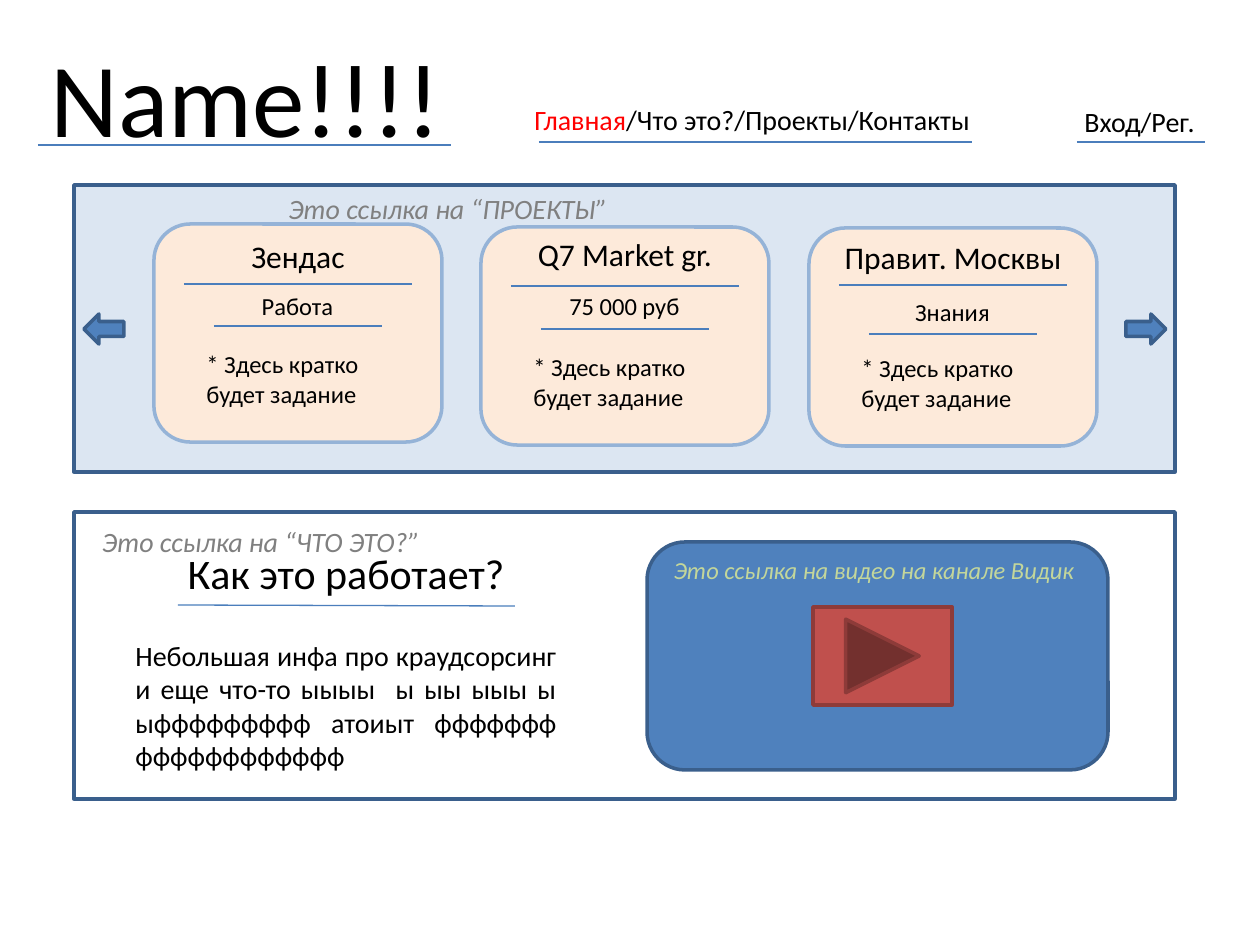
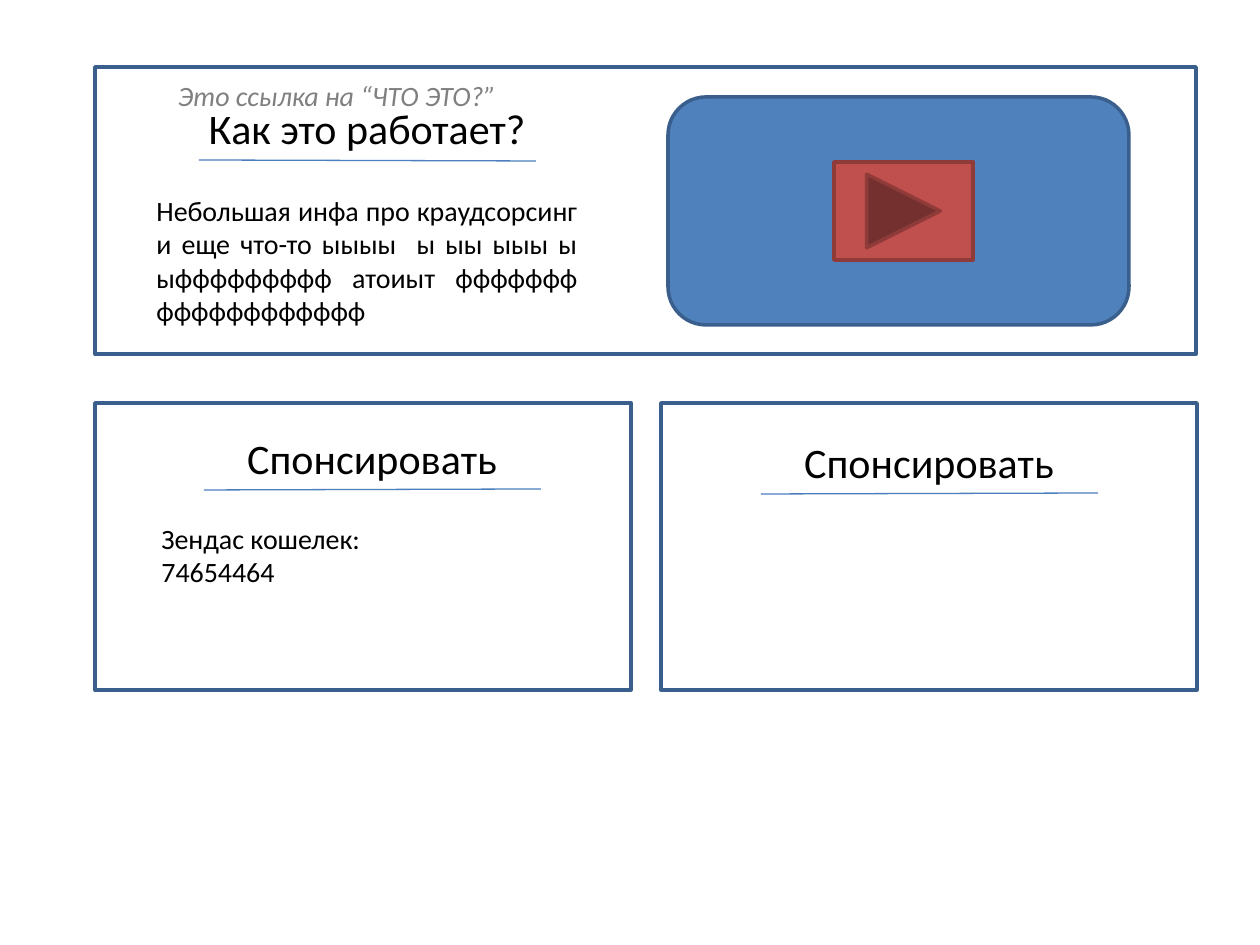
from dataclasses import dataclass

from lxml.etree import SubElement
from pptx import Presentation
from pptx.dml.color import RGBColor
from pptx.enum.shapes import MSO_CONNECTOR, MSO_SHAPE
from pptx.enum.text import MSO_AUTO_SIZE, PP_ALIGN
from pptx.oxml.ns import qn
from pptx.slide import Slide
from pptx.util import Emu, Pt

EMU_PER_PX = 914400 / 126
FONT = "Calibri"

BLACK = RGBColor(0x00, 0x00, 0x00)
WHITE = RGBColor(0xFF, 0xFF, 0xFF)
RED = RGBColor(0xFF, 0x00, 0x00)
GREY = RGBColor(0x80, 0x80, 0x80)
BLUE = RGBColor(0x4F, 0x81, 0xBD)
DARK_BLUE = RGBColor(0x3A, 0x5F, 0x8C)
RULE_BLUE = RGBColor(0x4B, 0x7E, 0xBC)
PALE_BLUE = RGBColor(0xDC, 0xE6, 0xF2)
CARD_BLUE = RGBColor(0x95, 0xB3, 0xD7)
PEACH = RGBColor(0xFD, 0xEA, 0xDA)
BUTTON_RED = RGBColor(0xC0, 0x50, 0x4D)
BUTTON_EDGE = RGBColor(0x8E, 0x3B, 0x39)
PALE_GREEN = RGBColor(0xC3, 0xD6, 0x9B)

PANEL_W, PANEL_H = 1101, 287
HALF_PANEL_W = 536
COLUMN_W = 446
CARD_W, CARD_H = 288, 218
CARD_LEFTS = (154, 481, 809)

ABOUT_TITLE = "Как это работает?"
ABOUT_BODY = ("Небольшая инфа про краудсорсинг и еще что-то ыыыы  ы ыы ыыы ы "
              "ыффффффффф атоиыт ффффффф фффффффффффф")
ABOUT_LINK = "Это ссылка на “ЧТО ЭТО?”"
TASK = "* Здесь кратко будет задание"


@dataclass(frozen=True)
class Run:
    """A piece of text with one colour."""
    text: str
    color: RGBColor = BLACK


@dataclass(frozen=True)
class Card:
    """A project card: its wording and the heights of its parts."""
    name: str
    reward: str
    top: int
    name_y: int
    name_rule_y: int
    reward_y: int
    reward_rule_y: int
    name_w: int = 208


@dataclass(frozen=True)
class Sponsor:
    """A sponsoring panel and the place of its heading."""
    left: int
    title_x: int
    title_y: int


CARDS = (
    Card("Зендас", "Работа", 224, 231, 284, 285, 326),
    Card("Q7 Market gr.", "75 000 руб", 227, 229, 286, 285, 329),
    Card("Правит. Москвы", "Знания", 228, 232, 285, 291, 334, 248),
)
SPONSORS = (Sponsor(95, 149, 426), Sponsor(661, 706, 430))


def px(n: float) -> Emu:
    """Turn pixels into EMU."""
    return Emu(round(n * EMU_PER_PX))


def add_box(s: Slide, kind: MSO_SHAPE, x: int, y: int, w: int, h: int,
            fill: RGBColor, line: RGBColor = DARK_BLUE) -> None:
    """Draw a filled and outlined preset shape."""
    sp = s.shapes.add_shape(kind, px(x), px(y), px(w), px(h))
    sp.shadow.inherit = False
    sp.fill.solid()
    sp.fill.fore_color.rgb = fill
    sp.line.color.rgb = line
    sp.line.width = Pt(2)


def add_rule(s: Slide, x1: int, y1: int, x2: int, y2: int) -> None:
    """Draw a thin line without a shadow."""
    cn = s.shapes.add_connector(MSO_CONNECTOR.STRAIGHT,
                                px(x1), px(y1), px(x2), px(y2))
    cn.line.color.rgb = RULE_BLUE
    cn.line.width = Pt(0.75)
    SubElement(cn._element.spPr, qn("a:effectLst"))


def add_text(s: Slide, x: int, y: int, w: int, h: int,
             paragraphs: list[list[Run]], size: int,
             align: PP_ALIGN = PP_ALIGN.LEFT, italic: bool = False,
             wrap: bool = True) -> None:
    """Write paragraphs, each a list of runs, in one text box."""
    tf = s.shapes.add_textbox(px(x), px(y), px(w), px(h)).text_frame
    tf.word_wrap = wrap
    tf.auto_size = MSO_AUTO_SIZE.SHAPE_TO_FIT_TEXT
    for i, runs in enumerate(paragraphs):
        p = tf.add_paragraph() if i else tf.paragraphs[0]
        p.alignment = align
        for run in runs:
            r = p.add_run()
            r.text = run.text
            r.font.name = FONT
            r.font.size = Pt(size)
            r.font.italic = italic
            r.font.color.rgb = run.color


def add_link_note(s: Slide, x: int, y: int, text: str,
                  color: RGBColor = GREY, size: int = 16) -> None:
    """Write a centred italic remark about a link."""
    add_text(s, x, y, COLUMN_W, 47, [[Run(text, color)]], size,
             PP_ALIGN.CENTER, italic=True)


def add_heading(s: Slide, x: int, y: int, text: str, tilt: int) -> None:
    """Write a centred heading over a slightly tilted rule."""
    add_rule(s, x + 55, y + 64, x + 392, y + 64 + tilt)
    add_text(s, x, y, COLUMN_W, 63, [[Run(text)]], 24, PP_ALIGN.CENTER)


def add_about_panel(s: Slide, x: int, y: int) -> None:
    """Draw the panel with the explanation and the video."""
    add_box(s, MSO_SHAPE.RECTANGLE, x, y, PANEL_W, PANEL_H, WHITE)
    add_heading(s, x + 49, y + 29, ABOUT_TITLE, 1)
    add_box(s, MSO_SHAPE.ROUNDED_RECTANGLE, x + 573, y + 30, 461, 228, BLUE)
    add_box(s, MSO_SHAPE.ACTION_BUTTON_FORWARD_OR_NEXT, x + 739, y + 95,
            139, 98, BUTTON_RED, BUTTON_EDGE)
    add_text(s, x + 49, y + 120, COLUMN_W, 149, [[Run(ABOUT_BODY)]], 16,
             PP_ALIGN.JUSTIFY)


def add_card(s: Slide, x: int, card: Card) -> None:
    """Draw one project card."""
    add_box(s, MSO_SHAPE.ROUNDED_RECTANGLE, x, card.top, CARD_W, CARD_H,
            PEACH, CARD_BLUE)
    lines = ((card.name, 18, card.name_w, card.name_y, card.name_rule_y, 228),
             (card.reward, 14, 149, card.reward_y, card.reward_rule_y, 168))
    for text, size, w, y, rule_y, rule_w in lines:
        rule_x = x + (CARD_W - rule_w) // 2
        add_rule(s, rule_x, rule_y, rule_x + rule_w, rule_y)
        add_text(s, x + (CARD_W - w) // 2, y, w, rule_y - y, [[Run(text)]],
                 size, PP_ALIGN.CENTER)
    add_text(s, x + 40, card.top + 119, 208, 72, [[Run(TASK)]], 14)


def add_header(s: Slide) -> None:
    """Write the site name, the menu and the sign-in link."""
    add_text(s, 38, 26, 496, 140, [[Run("Name!!!!")]], 60)
    add_text(s, 522, 96, 466, 47,
             [[Run("Главная", RED), Run("/Что это?/Проекты/Контакты")]], 16,
             wrap=False)
    add_text(s, 1072, 98, 158, 47, [[Run("Вход/Рег.")]], 16)
    for x1, x2, y in ((38, 451, 145), (539, 972, 142), (1077, 1205, 142)):
        add_rule(s, x1, y, x2, y)


def build_home(s: Slide) -> None:
    """Build the home page with the projects and the explanation."""
    add_box(s, MSO_SHAPE.RECTANGLE, 74, 185, PANEL_W, PANEL_H, PALE_BLUE)
    add_header(s)
    add_box(s, MSO_SHAPE.LEFT_ARROW, 84, 314, 40, 30, BLUE)
    add_box(s, MSO_SHAPE.RIGHT_ARROW, 1126, 314, 40, 30, BLUE)
    for x, card in zip(CARD_LEFTS, CARDS):
        add_card(s, x, card)
    add_link_note(s, 225, 185, "Это ссылка на “ПРОЕКТЫ”")
    add_about_panel(s, 74, 512)
    add_link_note(s, 38, 518, ABOUT_LINK)
    add_link_note(s, 651, 549, "Это ссылка на видео на канале Видик",
                  PALE_GREEN, 14)


def build_sponsoring(s: Slide) -> None:
    """Build the page with the explanation and the sponsoring panels."""
    add_about_panel(s, 95, 67)
    add_link_note(s, 114, 72, ABOUT_LINK)
    for sponsor in SPONSORS:
        add_box(s, MSO_SHAPE.RECTANGLE, sponsor.left, 403, HALF_PANEL_W,
                PANEL_H, WHITE)
        add_heading(s, sponsor.title_x, sponsor.title_y, "Спонсировать", -1)
    add_text(s, 149, 515, COLUMN_W, 81,
             [[Run("Зендас кошелек:")], [Run("74654464")]], 16,
             PP_ALIGN.JUSTIFY)


def main() -> None:
    """Build both slides and save the file."""
    prs = Presentation()
    prs.slide_width, prs.slide_height = px(1260), px(945)
    for build in (build_home, build_sponsoring):
        build(prs.slides.add_slide(prs.slide_layouts[6]))
    prs.save("out.pptx")


main()
